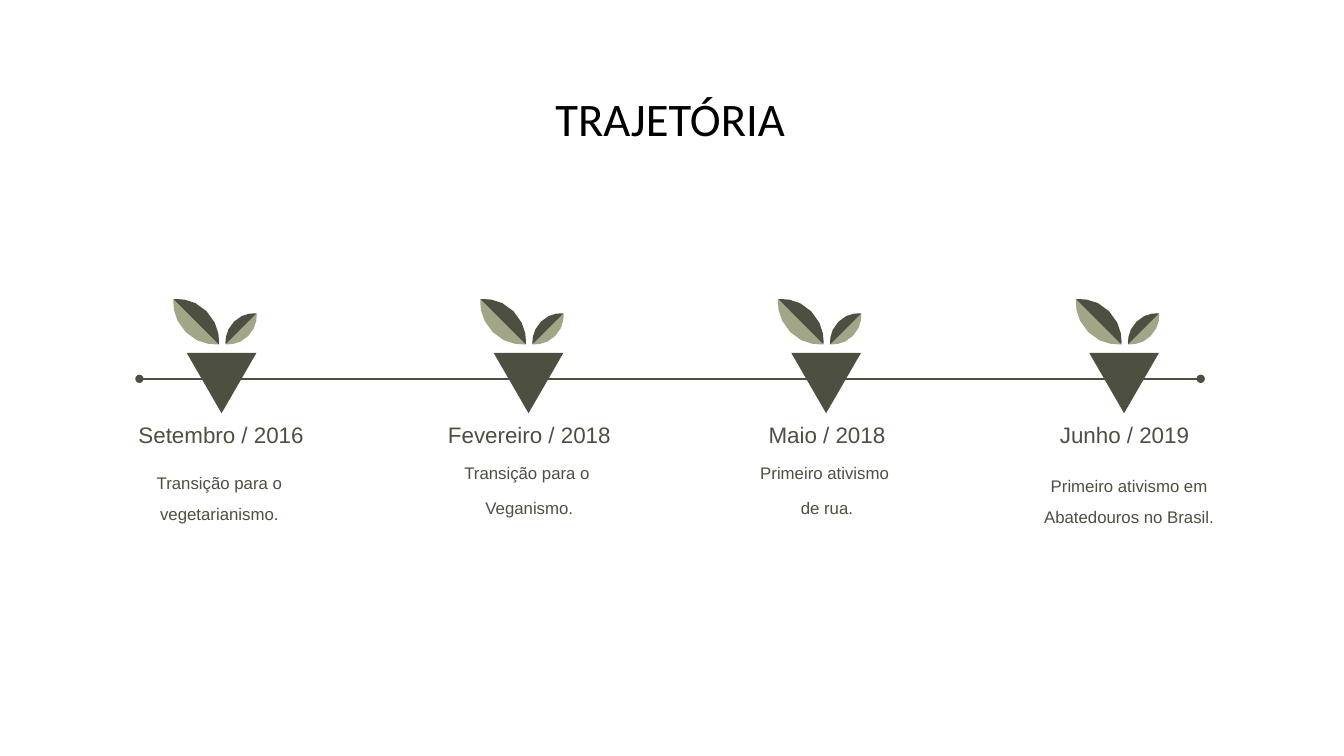
import dataclasses
import typing

import lxml.etree
import pptx
import pptx.dml.color
import pptx.enum.shapes
import pptx.enum.text
import pptx.oxml.ns
import pptx.util

COLUMNS, ROWS = 160, 90
CELL = pptx.util.Inches(7.5) / ROWS
OLIVE, SAGE, BLACK = "4D4F40", "A2A586", "000000"
TEXT_WIDTH = 26.5
LEAF_BASE_ROW = 41

Point = tuple[float, float]


@dataclasses.dataclass(frozen=True)
class Milestone:
    center: float
    date: str
    date_center: float
    description: str
    description_center: float
    description_top: float = 55
    description_height: float = 10
    line_spacing: float = 1.0


@dataclasses.dataclass(frozen=True)
class Leaf:
    base: float
    size: float
    direction: int


@dataclasses.dataclass(frozen=True)
class Curve:
    points: tuple[Point, Point, Point, Point]
    steps: int


MILESTONES = (
    Milestone(26.38, "Setembro / 2016", 26.2, "Transição para o vegetarianismo.", 26,
              description_height=14.4, line_spacing=1.5),
    Milestone(62.92, "Fevereiro / 2018", 62.9, "Transição para o \nVeganismo.", 62.9),
    Milestone(98.35, "Maio / 2018", 98.33, "Primeiro ativismo \nde rua.", 98.33),
    Milestone(133.82, "Junho / 2019", 133.75, "Primeiro ativismo em Abatedouros no Brasil.", 134.3,
              description_top=55.35, line_spacing=1.5),
)
LEAVES = (Leaf(-0.32, 5.4, -1), Leaf(0.48, 3.7, 1))
LEAF_CURVES = (
    Curve(((0, 0), (0, 0), (-0.06, 0.4), (0.27, 0.73)), 4),
    Curve(((0.27, 0.73), (0.51, 0.98), (0.8, 1), (0.93, 1)), 3),
    Curve(((0.93, 1), (0.98, 1), (1, 1), (1, 1)), 1),
)


def cells(count: float) -> pptx.util.Emu:
    return pptx.util.Emu(round(count * CELL))


def color(value: str) -> pptx.dml.color.RGBColor:
    return pptx.dml.color.RGBColor.from_string(value)


def place(shape: typing.Any, left: float, top: float, width: float, height: float) -> None:
    shape.left, shape.top = cells(left), cells(top)
    shape.width, shape.height = cells(width), cells(height)


def write(shape: typing.Any, text: str, size: float, font: str, fill: str,
          line_spacing: float, space_before: float) -> None:
    frame = shape.text_frame
    frame.word_wrap = True
    frame.auto_size = pptx.enum.text.MSO_AUTO_SIZE.NONE
    frame.vertical_anchor = pptx.enum.text.MSO_ANCHOR.TOP
    frame.margin_left = frame.margin_right = frame.margin_top = frame.margin_bottom = 0
    frame.text = text
    for paragraph in frame.paragraphs:
        paragraph.alignment = pptx.enum.text.PP_ALIGN.CENTER
        paragraph.line_spacing = line_spacing
        paragraph.space_before = pptx.util.Pt(space_before)
        for run in paragraph.runs:
            run.font.size = pptx.util.Pt(size)
            run.font.name = font
            run.font.color.rgb = color(fill)


def add_label(slide: typing.Any, center: float, top: float, height: float,
              text: str, size: float, line_spacing: float = 1.0) -> None:
    box = slide.shapes.add_textbox(0, 0, 0, 0)
    place(box, center - TEXT_WIDTH / 2, top, TEXT_WIDTH, height)
    write(box, text, size, "Arial", OLIVE, line_spacing, 10.7)
    box.text_frame.margin_left = pptx.util.Inches(0.02)
    box.text_frame.margin_top = pptx.util.Inches(0.01)


def add_outline(shapes: typing.Any, points: list[Point], fill: str) -> None:
    corners = [(cells(x), cells(y)) for x, y in points]
    builder = shapes.build_freeform(*corners[0], scale=1.0)
    builder.add_line_segments(corners[1:], close=True)
    shape = builder.convert_to_shape()
    shape.shadow.inherit = False
    shape.fill.solid()
    shape.fill.fore_color.rgb = color(fill)
    shape.line.fill.background()


def curve_point(curve: Curve, share: float) -> Point:
    rest = 1 - share
    weights = (rest ** 3, 3 * rest ** 2 * share, 3 * rest * share ** 2, share ** 3)
    x, y = (sum(weight * point[axis] for weight, point in zip(weights, curve.points))
            for axis in (0, 1))
    return x, y


def add_leaf(shapes: typing.Any, leaf: Leaf, center: float) -> None:
    lower = [(0.0, 0.0)] + [curve_point(curve, step / curve.steps)
                            for curve in LEAF_CURVES for step in range(1, curve.steps + 1)]
    upper = [(1 - x, 1 - y) for x, y in lower]
    for half, fill in ((lower, SAGE), (upper, OLIVE)):
        points = [(center + leaf.base + leaf.direction * leaf.size * (1 - x),
                   LEAF_BASE_ROW - leaf.size * (1 - y)) for x, y in half]
        add_outline(shapes, points, fill)


def add_plant(slide: typing.Any, center: float) -> None:
    group = slide.shapes.add_group_shape()
    for leaf in LEAVES:
        add_leaf(group.shapes, leaf, center)
    add_outline(group.shapes, [(center - 4.16, 42), (center, 49.2), (center + 4.16, 42)], OLIVE)


def add_timeline(slide: typing.Any) -> None:
    line = slide.shapes.add_connector(
        pptx.enum.shapes.MSO_CONNECTOR.STRAIGHT, cells(16.6), cells(45.1), cells(142.95), cells(45.1))
    line.line.color.rgb = color(OLIVE)
    line.line.width = pptx.util.Pt(1.5)
    for end in ("a:headEnd", "a:tailEnd"):
        lxml.etree.SubElement(line.line._get_or_add_ln(), pptx.oxml.ns.qn(end), type="oval")
    lxml.etree.SubElement(line._element.spPr, pptx.oxml.ns.qn("a:effectLst"))


def main() -> None:
    presentation = pptx.Presentation()
    presentation.slide_width, presentation.slide_height = cells(COLUMNS), cells(ROWS)
    slide = presentation.slides.add_slide(presentation.slide_layouts[5])
    title = slide.shapes.title
    place(title, 62.15, 11.4, 35.3, 7.1)
    write(title, "TRAJETÓRIA", 33.3, "Calibri", BLACK, 0.9, 0)
    add_timeline(slide)
    for milestone in MILESTONES:
        add_plant(slide, milestone.center)
        add_label(slide, milestone.date_center, 50, 5, milestone.date, 16)
        add_label(slide, milestone.description_center, milestone.description_top,
                  milestone.description_height, milestone.description, 12, milestone.line_spacing)
    presentation.save("out.pptx")


if __name__ == "__main__":
    main()
